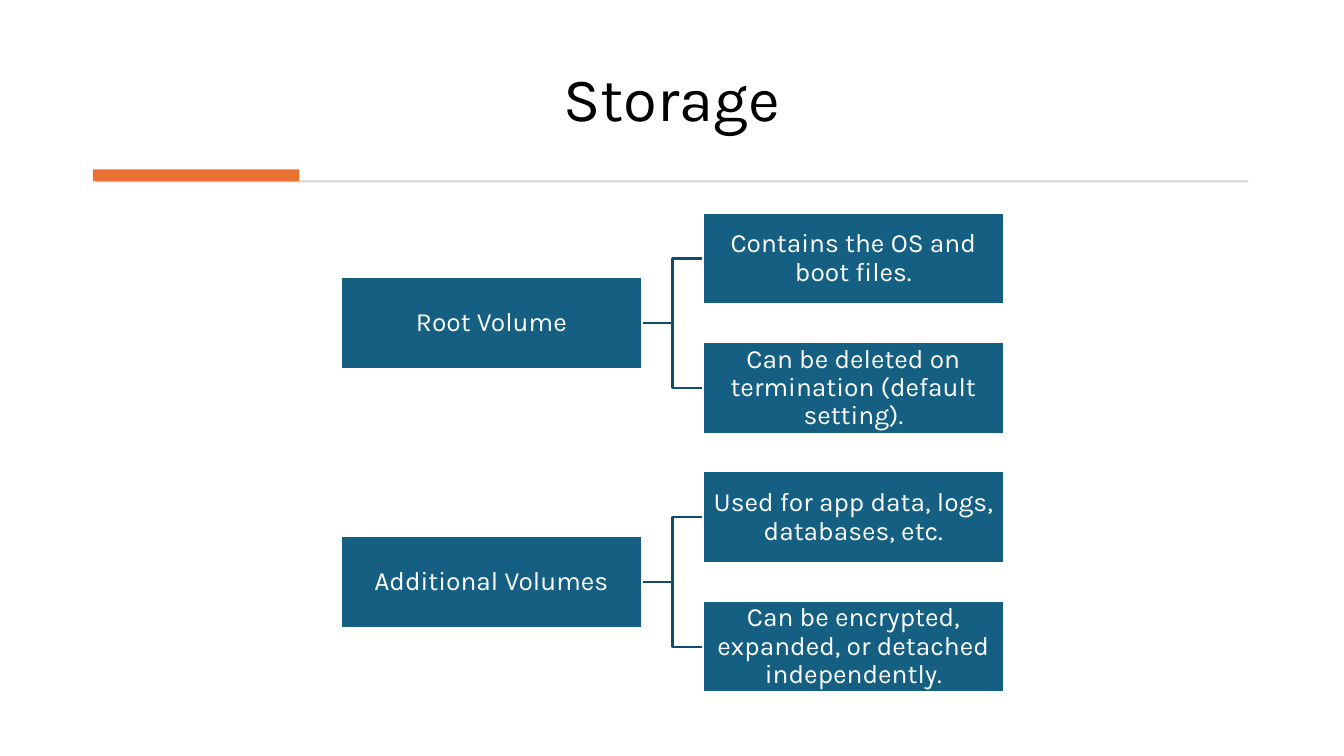
"""Build the storage slide: two volume types, each branching to two facts."""
from dataclasses import dataclass

from lxml import etree
from pptx import Presentation
from pptx.dml.color import RGBColor
from pptx.enum.shapes import MSO_CONNECTOR, MSO_SHAPE
from pptx.enum.text import MSO_ANCHOR, PP_ALIGN
from pptx.oxml.ns import qn
from pptx.util import Inches, Pt

RECT = MSO_SHAPE.RECTANGLE
ELBOW = MSO_CONNECTOR.ELBOW
CENTER = PP_ALIGN.CENTER
MIDDLE = MSO_ANCHOR.MIDDLE
BOTTOM = MSO_ANCHOR.BOTTOM


@dataclass(frozen=True)
class Theme:
    font: str = "Karla"
    ink: str = "000000"
    white: str = "FFFFFF"
    rule: str = "D5D5D5"
    accent: str = "E97132"
    box: str = "156082"
    link: str = "114D68"
    head: float = 44
    body: float = 18.8
    line: float = 1.5


def write(frame, text, *, size, color, font, anchor, inset):
    frame.word_wrap = True
    frame.vertical_anchor = anchor
    frame.margin_left = frame.margin_right = Inches(inset[0])
    frame.margin_top = frame.margin_bottom = Inches(inset[1])
    para = frame.paragraphs[0]
    para.alignment = CENTER
    para.line_spacing = 0.9
    run = para.add_run()
    run.text = text
    run.font.size = Pt(size)
    run.font.name = font
    run.font.color.rgb = RGBColor.from_string(color)


class Deck:
    def __init__(self, theme):
        self.theme = theme
        self.file = Presentation()
        self.file.slide_width = Inches(13.33)
        self.file.slide_height = Inches(7.5)
        self.slide = self.file.slides.add_slide(self.file.slide_layouts[5])

    def title(self, text, left, top, width, height):
        shape = self.slide.shapes.title
        shape.left, shape.top = Inches(left), Inches(top)
        shape.width, shape.height = Inches(width), Inches(height)
        write(shape.text_frame, text, size=self.theme.head, color=self.theme.ink,
              font=self.theme.font, anchor=BOTTOM, inset=(0.1, 0.05))

    def bar(self, left, top, width, height, fill):
        shape = self.slide.shapes.add_shape(
            RECT, Inches(left), Inches(top), Inches(width), Inches(height))
        shape.shadow.inherit = False
        shape.fill.solid()
        shape.fill.fore_color.rgb = RGBColor.from_string(fill)
        shape.line.fill.background()
        return shape

    def box(self, text, left, top, width, height):
        shape = self.bar(left, top, width, height, self.theme.box)
        shape.line.color.rgb = RGBColor.from_string(self.theme.white)
        shape.line.width = Pt(self.theme.line)
        write(shape.text_frame, text, size=self.theme.body, color=self.theme.white,
              font=self.theme.font, anchor=MIDDLE, inset=(0.02, 0.02))

    def link(self, left, start, right, end):
        line = self.slide.shapes.add_connector(
            ELBOW, Inches(left), Inches(start), Inches(right), Inches(end))
        line.line.color.rgb = RGBColor.from_string(self.theme.link)
        line.line.width = Pt(self.theme.line)
        etree.SubElement(line._element.spPr, qn("a:effectLst"))


TREE = {
    "Root Volume": ("Contains the OS and boot files.",
                    "Can be deleted on termination (default setting)."),
    "Additional Volumes": ("Used for app data, logs, databases, etc.",
                           "Can be encrypted, expanded, or detached independently."),
}
WIDE, HIGH = 2.99, 0.91
LEFT, GAP = 3.38, 0.6
TOP, LAST = 2.11, 5.96


def main():
    theme = Theme()
    deck = Deck(theme)
    deck.title("Storage", 0.92, 0.28, 11.49, 1.11)
    deck.bar(0.95, 1.79, 11.43, 0.02, theme.rule)
    deck.bar(0.92, 1.68, 2.05, 0.12, theme.accent)

    step = (LAST - TOP) / 3
    edge = LEFT + WIDE
    right = edge + GAP
    for group, (name, facts) in enumerate(TREE.items()):
        tops = [TOP + step * (2 * group + row) for row in range(2)]
        mid = sum(tops) / 2
        for top in tops:
            deck.link(edge, mid + HIGH / 2, right, top + HIGH / 2)
        deck.box(name, LEFT, mid, WIDE, HIGH)
        for fact, top in zip(facts, tops):
            deck.box(fact, right, top, WIDE, HIGH)
    deck.file.save("out.pptx")


if __name__ == "__main__":
    main()
